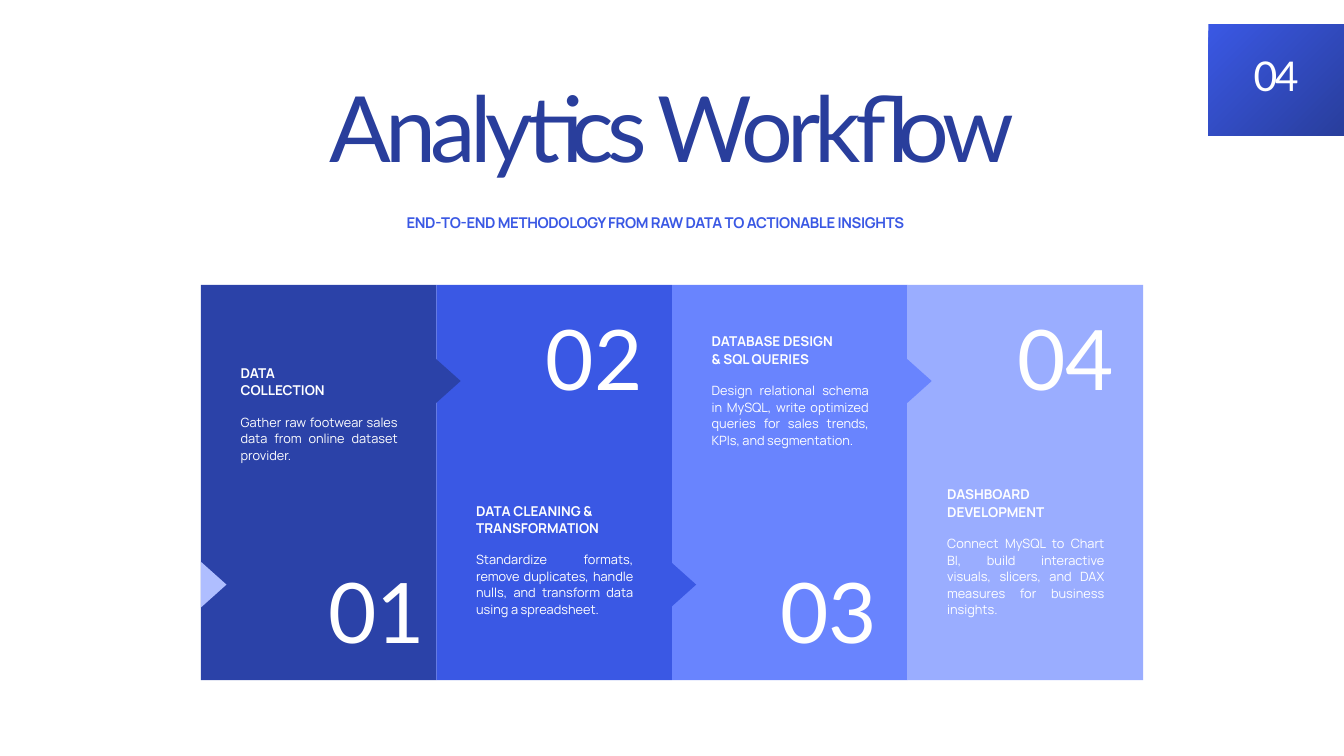
from pptx import Presentation
from pptx.dml.color import RGBColor as RGB
from pptx.enum.shapes import MSO_SHAPE as Shape
from pptx.enum.text import MSO_ANCHOR as Anchor, MSO_AUTO_SIZE as Auto, PP_ALIGN as Align
from pptx.util import Inches, Pt

COLORS = {
    "navy": "293E9C", "dark": "2B42A8", "blue": "3A58E4", "mid": "6984FE",
    "light": "9AADFF", "pale": "AFBEFF", "white": "FFFFFF",
}
STYLES = {
    "title": {"font": {"name": "Lato", "size": Pt(97.9), "bold": False},
              "para": {"alignment": Align.CENTER, "line_spacing": Pt(96)},
              "color": "navy", "track": -630},
    "sub": {"font": {"name": "Manrope", "size": Pt(15.9), "bold": True},
            "para": {"alignment": Align.LEFT, "line_spacing": Pt(22.2)},
            "color": "blue", "track": -40},
    "page": {"font": {"name": "Lato", "size": Pt(43.9)},
             "para": {"alignment": Align.CENTER, "line_spacing": Pt(43)},
             "color": "white", "track": -280},
    "head": {"font": {"name": "Manrope", "size": Pt(14.5), "bold": True},
             "para": {"alignment": Align.JUSTIFY, "line_spacing": Pt(18.7)},
             "color": "white", "track": 0},
    "body": {"font": {"name": "Manrope", "size": Pt(13.7)},
             "para": {"alignment": Align.JUSTIFY, "line_spacing": Pt(17.7)},
             "color": "white", "track": 0},
    "number": {"font": {"name": "Lato", "size": Pt(89.4)},
               "para": {"alignment": Align.JUSTIFY, "line_spacing": Pt(115.4)},
               "color": "white", "track": -30},
}
FRAME = {"margin_left": 0, "margin_right": 0, "margin_top": 0, "margin_bottom": 0,
         "word_wrap": True, "auto_size": Auto.NONE, "vertical_anchor": Anchor.TOP}
STEPS = [
    {"fill": "dark", "num": "01", "num_at": (1.9, 3.98), "text_y": 1.17, "arrow_y": 4.12,
     "head": ["DATA", "COLLECTION"],
     "body": "Gather raw footwear sales data from online dataset provider."},
    {"fill": "blue", "num": "02", "num_at": (1.63, 0.21), "text_y": 3.22, "arrow_y": 1.09,
     "head": ["DATA CLEANING &", "TRANSFORMATION"],
     "body": "Standardize formats, remove duplicates, handle nulls, "
             "and transform data using a spreadsheet."},
    {"fill": "mid", "num": "03", "num_at": (1.61, 3.98), "text_y": 0.7, "arrow_y": 4.12,
     "head": ["DATABASE DESIGN", "& SQL QUERIES"],
     "body": "Design relational schema in MySQL, write optimized queries "
             "for sales trends, KPIs, and segmentation."},
    {"fill": "light", "num": "04", "num_at": (1.63, 0.21), "text_y": 2.98, "arrow_y": 1.09,
     "head": ["DASHBOARD", "DEVELOPMENT"],
     "body": "Connect MySQL to Chart BI, build interactive visuals, slicers, "
             "and DAX measures for business insights."},
]


def rgb(name):
    """Return the named colour."""
    return RGB.from_string(COLORS[name])


def apply(target, values):
    """Set every attribute in values on target."""
    for key, value in values.items():
        setattr(target, key, value)


def write(shape, lines, style):
    """Fill a text shape with lines in the named style."""
    look, frame = STYLES[style], shape.text_frame
    apply(frame, FRAME)
    frame.text = "\n".join(lines)
    for para in frame.paragraphs:
        apply(para, look["para"])
        for run in para.runs:
            apply(run.font, look["font"])
            run.font.color.rgb = rgb(look["color"])
            run._r.get_or_add_rPr().set("spc", str(look["track"]))


def add_text(slide, box, lines, style):
    """Add a text box in the given box."""
    write(slide.shapes.add_textbox(*map(Inches, box)), lines, style)


def add_block(slide, kind, box, fill=None):
    """Add a borderless shape, solid if a fill is named."""
    block = slide.shapes.add_shape(kind, *map(Inches, box))
    block.shadow.inherit = False
    block.line.fill.background()
    if fill:
        block.fill.solid()
        block.fill.fore_color.rgb = rgb(fill)
    return block


def add_badge(slide, box):
    """Add the page number on its gradient block."""
    left, top, width, height = box
    fill = add_block(slide, Shape.RECTANGLE, box).fill
    fill.gradient()
    fill.gradient_angle = 315
    for stop, name, place in zip(fill.gradient_stops, ("blue", "navy"), (0, 1)):
        stop.color.rgb = rgb(name)
        stop.position = place
    add_text(slide, (left + 0.26, top + 0.53, 1.5, 0.67), ["04"], "page")


def add_header(slide, box):
    """Place the title and the line below it."""
    left, top, width, height = box
    title = slide.shapes.title
    apply(title, dict(zip(("left", "top", "width", "height"), map(Inches, box))))
    write(title, ["Analytics Workflow"], "title")
    add_text(slide, (left + 2.37, top + 1.78, 7.71, 0.31),
             ["END-TO-END METHODOLOGY FROM RAW DATA TO ACTIONABLE INSIGHTS"], "sub")


def add_arrow(slide, left, top, fill):
    """Add a triangle pointing right from the given corner."""
    base, tall = 0.68, 0.38
    shift = (base - tall) / 2
    box = (left - shift, top + shift, base, tall)
    add_block(slide, Shape.ISOSCELES_TRIANGLE, box, fill).rotation = 90


def add_step(slide, box, step, entry):
    """Add one panel with its arrow, number, heading and text."""
    left, top, width, height = box
    add_block(slide, Shape.RECTANGLE, box, step["fill"])
    add_arrow(slide, left if entry == "pale" else left - 0.02, top + step["arrow_y"], entry)
    x, y = left + 0.59, top + step["text_y"]
    add_text(slide, (x, y, 2.34, 0.5), step["head"], "head")
    add_text(slide, (x, y + 0.74, 2.34, 1.2), [step["body"]], "body")
    dx, dy = step["num_at"]
    add_text(slide, (left + dx, top + dy, 1.73, 1.55), [step["num"]], "number")


def add_flow(slide, box):
    """Split the box into equal step panels."""
    left, top, width, height = box
    pitch = width / len(STEPS)
    entry = "pale"
    for i, step in enumerate(STEPS):
        add_step(slide, (left + i * pitch, top, pitch, height), step, entry)
        entry = step["fill"]


def main():
    """Build and save the slide."""
    deck = Presentation()
    deck.slide_width, deck.slide_height = Inches(20), Inches(11.25)
    slide = deck.slides.add_slide(deck.slide_layouts[5])
    add_badge(slide, (17.98, 0.36, 2.02, 1.66))
    add_header(slide, (3.68, 1.36, 12.64, 1.39))
    add_flow(slide, (2.99, 4.24, 14.02, 5.88))
    deck.save("out.pptx")


if __name__ == "__main__":
    main()
